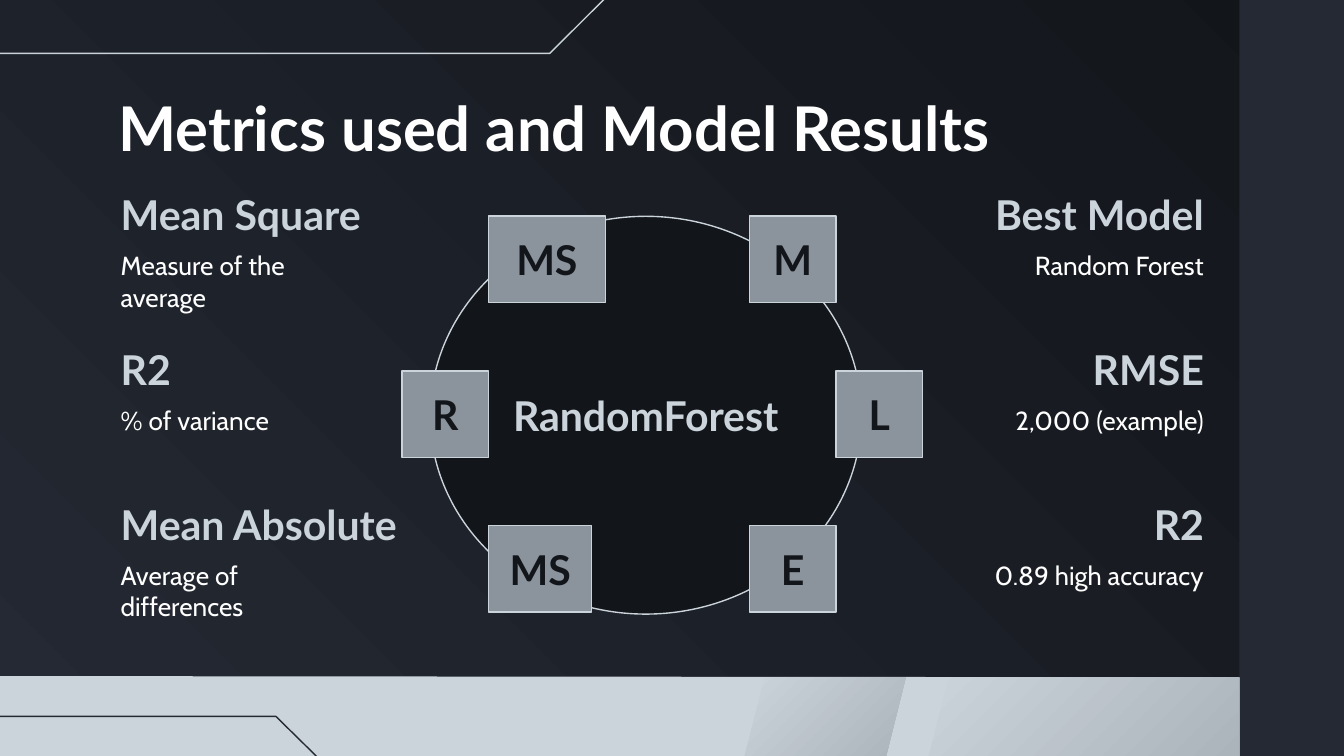
"""Build the slide of metrics used and model results around a Random Forest ring."""
from pptx import Presentation
from pptx.dml.color import RGBColor
from pptx.enum.shapes import MSO_SHAPE as Preset
from pptx.enum.text import MSO_ANCHOR as Anchor, MSO_AUTO_SIZE as AutoSize, PP_ALIGN as Align
from pptx.util import Pt

COLORS = {"night": "12151A", "slate": "242933", "mist": "CCD4DB",
          "steel": "ABB3BB", "tile": "8B939C", "white": "FFFFFF"}
RGB = {name: RGBColor.from_string(value) for name, value in COLORS.items()}
HEADING = {"size": Pt(22), "name": "Lato", "bold": True}
BODY = {"size": Pt(14), "name": "Cabin", "bold": False}


def set_text(shape, text, font, color, align, anchor, inset):
    frame = shape.text_frame
    frame.text = text
    settings = {"word_wrap": True, "auto_size": AutoSize.NONE, "vertical_anchor": anchor,
                "margin_left": Pt(7.2), "margin_right": Pt(7.2),
                "margin_top": Pt(inset), "margin_bottom": Pt(inset)}
    for name, value in settings.items():
        setattr(frame, name, value)
    paragraph = frame.paragraphs[0]
    paragraph.alignment = align
    run = paragraph.runs[0]
    for name, value in font.items():
        setattr(run.font, name, value)
    run.font.color.rgb = RGB[color]


def paint(shape, fill, line):
    if hasattr(shape, "shadow"):
        shape.shadow.inherit = False
    if isinstance(fill, tuple):
        start, end, angle = fill
        shape.fill.gradient()
        shape.fill.gradient_angle = angle
        for stop, color, position in zip(shape.fill.gradient_stops, (start, end), (0, 1)):
            stop.color.rgb = RGB[color]
            stop.position = position
    elif fill:
        shape.fill.solid()
        shape.fill.fore_color.rgb = RGB[fill]
    else:
        shape.fill.background()
    if line:
        shape.line.color.rgb = RGB[line]
        shape.line.width = Pt(0.75)
    elif hasattr(shape, "line"):
        shape.line.fill.background()


presentation = Presentation()
presentation.slide_width = Pt(720)
presentation.slide_height = Pt(405)
slide = presentation.slides.add_slide(presentation.slide_layouts[5])
shapes = slide.shapes
paint(slide.background, ("night", "slate", 225), None)

side_bar = shapes.add_shape(Preset.RECTANGLE, Pt(664), Pt(0), Pt(56), Pt(405))
paint(side_bar, "slate", None)

sheen = ("mist", "steel", 315)
outlines = [
    ([(-2, 28.6), (294.6, 28.6), (324.8, -1.5), (663, -1.5)], None, "mist"),
    ([(-0.7, 362.2), (-0.7, 405.4), (663.8, 405), (663.8, 362.9)], "mist", None),
    ([(409.7, 362.9), (398.9, 405.4), (474.5, 406), (485.3, 362.9)], sheen, None),
    ([(508.3, 362.9), (497.5, 405.4), (663.8, 405.4), (663.8, 362.9)], sheen, None),
    ([(374.4, 419), (183.6, 419), (147.8, 383.8), (-46.8, 383.8)], None, "slate"),
]
for points, fill, line in outlines:
    corners = [(Pt(x), Pt(y)) for x, y in points]
    builder = shapes.build_freeform(*corners[0])
    builder.add_line_segments(corners[1:], close=fill is not None)
    paint(builder.convert_to_shape(), fill, line)

title = shapes.title
title.left, title.top, title.width, title.height = Pt(56.2), Pt(41), Pt(607.7), Pt(45.4)
set_text(title, "Metrics used and Model Results", {**HEADING, "size": Pt(33)},
         "white", Align.LEFT, Anchor.TOP, 7.2)

ring = shapes.add_shape(Preset.OVAL, Pt(230.4), Pt(115.9), Pt(231.1), Pt(213.1))
paint(ring, "night", "mist")
set_text(ring, "RandomForest", HEADING, "mist", Align.CENTER, Anchor.MIDDLE, 3.6)

row_pitch = 82.9
tile_size = 46.4
tiles = [("MS", 261.7, 0, 62.6), ("R", 215.3, 1, tile_size), ("MS", 261.7, 2, 55.4),
         ("M", 401.4, 0, tile_size), ("L", 447.8, 1, tile_size), ("E", 401.4, 2, tile_size)]
for label, left, row, width in tiles:
    tile = shapes.add_shape(Preset.RECTANGLE, Pt(left), Pt(115.8 + row * row_pitch),
                            Pt(width), Pt(tile_size))
    paint(tile, "tile", "mist")
    set_text(tile, label, HEADING, "night", Align.CENTER, Anchor.MIDDLE, 3.6)

heading_width, body_width = 164.2, 136.8
left_edge, right_edge = 57.6, 652
columns = [
    (Align.LEFT, left_edge, left_edge,
     [("Mean Square", "Measure of the average"), ("R2", "% of variance"),
      ("Mean Absolute", "Average of differences")]),
    (Align.RIGHT, right_edge - heading_width, right_edge - body_width,
     [("Best Model", "Random Forest"), ("RMSE", "2,000 (example)"),
      ("R2", "0.89 high accuracy")]),
]
for align, heading_left, body_left, entries in columns:
    for row, (heading, body) in enumerate(entries):
        offset = row * row_pitch
        heading_box = shapes.add_textbox(Pt(heading_left), Pt(101.5 + offset),
                                         Pt(heading_width), Pt(33.8))
        set_text(heading_box, heading, HEADING, "mist", align, Anchor.BOTTOM, 7.2)
        body_box = shapes.add_textbox(Pt(body_left), Pt(130.3 + offset), Pt(body_width), Pt(41))
        set_text(body_box, body, BODY, "white", align, Anchor.TOP, 3.6)

presentation.save("out.pptx")
